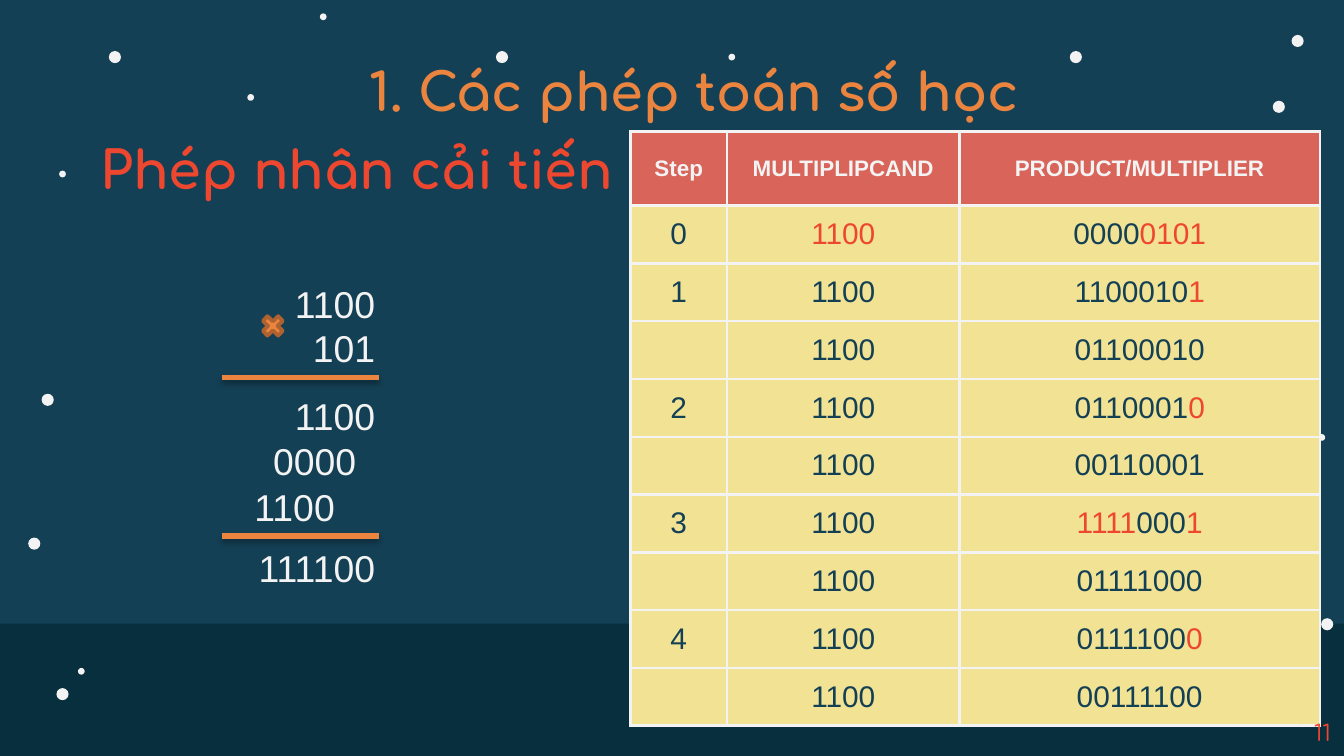
import pptx
import pptx.util
import pptx.dml.color
import pptx.enum.shapes
import pptx.enum.text
import pptx.oxml
import pptx.oxml.ns
from dataclasses import dataclass

Inches = pptx.util.Inches
Pt = pptx.util.Pt
ALIGN = pptx.enum.text.PP_ALIGN
ANCHOR = pptx.enum.text.MSO_ANCHOR
SHAPE = pptx.enum.shapes.MSO_SHAPE


@dataclass(frozen=True)
class Theme:
    night: str = "144055"
    ground: str = "082F3D"
    snow: str = "F3F3F3"
    orange: str = "EA843F"
    brown: str = "AD622F"
    red: str = "ED472F"
    header: str = "D96459"
    cell: str = "F2E394"
    heading_font: str = "Comfortaa"
    body_font: str = "Arial"
    heading_size: int = 28
    digit_size: int = 20
    cell_size: int = 16
    small_size: int = 12


theme = Theme()
rgb = pptx.dml.color.RGBColor.from_string


def add_run(paragraph, text, size, font, color, bold=False):
    run = paragraph.add_run()
    run.text = text
    run.font.size = Pt(size)
    run.font.name = font
    run.font.bold = bold
    run.font.color.rgb = rgb(color)


def add_flat_shape(kind, left, top, width, height, color):
    shape = slide.shapes.add_shape(kind, Inches(left), Inches(top), Inches(width), Inches(height))
    shape.shadow.inherit = False
    shape.fill.solid()
    shape.fill.fore_color.rgb = rgb(color)
    shape.line.fill.background()
    return shape


presentation = pptx.Presentation()
presentation.slide_width = Inches(10)
presentation.slide_height = presentation.slide_width * 9 // 16
slide = presentation.slides.add_slide(presentation.slide_layouts[5])
slide.background.fill.solid()
slide.background.fill.fore_color.rgb = rgb(theme.night)

add_flat_shape(SHAPE.RECTANGLE, 0, 4.64, 10, 1.02, theme.ground)

snowflakes = {
    0.09: [(0.81, 0.38), (7.96, 0.38), (9.61, 0.26), (3.69, 0.38), (9.65, 5.32),
           (0.31, 2.93), (9.47, 0.75), (9.83, 4.6), (0.21, 4), (0.42, 5.12)],
    0.05: [(0.44, 1.27), (0.58, 4.97), (5.42, 0.4), (2.38, 0.1), (1.84, 0.7), (9.81, 3.23)],
}
for diameter, places in snowflakes.items():
    for left, top in places:
        add_flat_shape(SHAPE.OVAL, left, top, diameter, diameter, theme.snow)

header = ("Step", "MULTIPLIPCAND", "PRODUCT/MULTIPLIER")
# An asterisk switches the highlight colour on and off.
steps = [
    ("0", "*1100", "0000*0101"),
    ("1", "1100", "1100010*1"),
    ("", "1100", "01100010"),
    ("2", "1100", "0110001*0"),
    ("", "1100", "00110001"),
    ("3", "1100", "*1111*000*1"),
    ("", "1100", "01111000"),
    ("4", "1100", "0111100*0"),
    ("", "1100", "00111100"),
]
rows = [header] + steps
table = slide.shapes.add_table(
    len(rows), len(header), Inches(4.69), Inches(0.98), Inches(5.13), Inches(4.42)).table
for column, width in zip(table.columns, (0.72, 1.73, 2.68)):
    column.width = Inches(width)
for row_index, values in enumerate(rows):
    is_header = row_index == 0
    table.rows[row_index].height = Inches(0.55 if is_header else 0.43)
    for column_index, value in enumerate(values):
        cell = table.cell(row_index, column_index)
        for side in ("lnL", "lnR", "lnT", "lnB"):
            cell._tc.get_or_add_tcPr().append(pptx.oxml.parse_xml(
                f'<a:{side} {pptx.oxml.ns.nsdecls("a")} w="{Pt(1.5)}"><a:solidFill>'
                f'<a:srgbClr val="{theme.snow}"/></a:solidFill></a:{side}>'))
        cell.fill.solid()
        cell.fill.fore_color.rgb = rgb(theme.header if is_header else theme.cell)
        if not value:
            continue
        cell.vertical_anchor = ANCHOR.MIDDLE
        cell.margin_left = cell.margin_right = Inches(0.09)
        cell.margin_top = cell.margin_bottom = Inches(0.09)
        paragraph = cell.text_frame.paragraphs[0]
        paragraph.alignment = ALIGN.CENTER
        for part_index, part in enumerate(value.split("*")):
            if part and is_header:
                add_run(paragraph, part, theme.small_size, theme.body_font, theme.snow, True)
            elif part:
                color = theme.red if part_index % 2 else theme.night
                add_run(paragraph, part, theme.cell_size, theme.body_font, color)

title = slide.shapes.title
title.element.getparent().append(title.element)
title.left, title.top, title.width, title.height = map(Inches, (0.95, 0.36, 8.43, 0.63))
title.text_frame.auto_size = pptx.enum.text.MSO_AUTO_SIZE.NONE
title.text_frame.vertical_anchor = ANCHOR.MIDDLE
title.text_frame.paragraphs[0].alignment = ALIGN.CENTER
add_run(title.text_frame.paragraphs[0], "1. Các phép toán số học",
        theme.heading_size, theme.heading_font, theme.orange, True)

heading_style = (theme.heading_size, theme.heading_font, theme.red, True)
digit_style = (theme.digit_size, theme.body_font, theme.snow)
number_style = (theme.small_size, theme.heading_font, theme.red)
text_boxes = [
    (0.65, 0.97, 4.09, 0.57, ["Phép nhân cải tiến"], ALIGN.LEFT, ANCHOR.TOP, heading_style),
    (1.31, 2.04, 1.58, 0.77, ["1100", "101"], ALIGN.RIGHT, ANCHOR.TOP, digit_style),
    (1.45, 2.88, 1.44, 0.44, ["1100"], ALIGN.RIGHT, ANCHOR.TOP, digit_style),
    (1.31, 3.21, 1.44, 0.44, ["0000"], ALIGN.RIGHT, ANCHOR.TOP, digit_style),
    (1.15, 3.55, 1.44, 0.44, ["1100"], ALIGN.RIGHT, ANCHOR.TOP, digit_style),
    (1.45, 4.01, 1.44, 0.44, ["111100"], ALIGN.RIGHT, ANCHOR.TOP, digit_style),
    (7.75, 5.3, 2.25, 0.3, ["11"], ALIGN.RIGHT, ANCHOR.MIDDLE, number_style),
]
for left, top, width, height, lines, alignment, anchor, style in text_boxes:
    text_frame = slide.shapes.add_textbox(
        Inches(left), Inches(top), Inches(width), Inches(height)).text_frame
    text_frame.word_wrap = True
    text_frame.vertical_anchor = anchor
    for line_index, line in enumerate(lines):
        paragraph = text_frame.add_paragraph() if line_index else text_frame.paragraphs[0]
        paragraph.alignment = alignment
        add_run(paragraph, line, *style)

for top in (2.81, 3.99):
    sum_line = slide.shapes.add_connector(
        pptx.enum.shapes.MSO_CONNECTOR.STRAIGHT, Inches(1.65), Inches(top), Inches(2.82), Inches(top))
    sum_line.line.color.rgb = rgb(theme.orange)
    sum_line.line.width = Pt(3)
    sum_line.element.spPr.append(pptx.oxml.parse_xml(
        f'<a:effectLst {pptx.oxml.ns.nsdecls("a")}><a:outerShdw blurRad="{Pt(3.1)}" '
        f'dist="{Pt(1.8)}" dir="5400000" rotWithShape="0"><a:srgbClr val="000000">'
        '<a:alpha val="35000"/></a:srgbClr></a:outerShdw></a:effectLst>'))

times_sign = add_flat_shape(SHAPE.MATH_MULTIPLY, 1.92, 2.32, 0.22, 0.21, theme.orange)
times_sign.line.color.rgb = rgb(theme.brown)
times_sign.line.width = Pt(2)

presentation.save("out.pptx")
